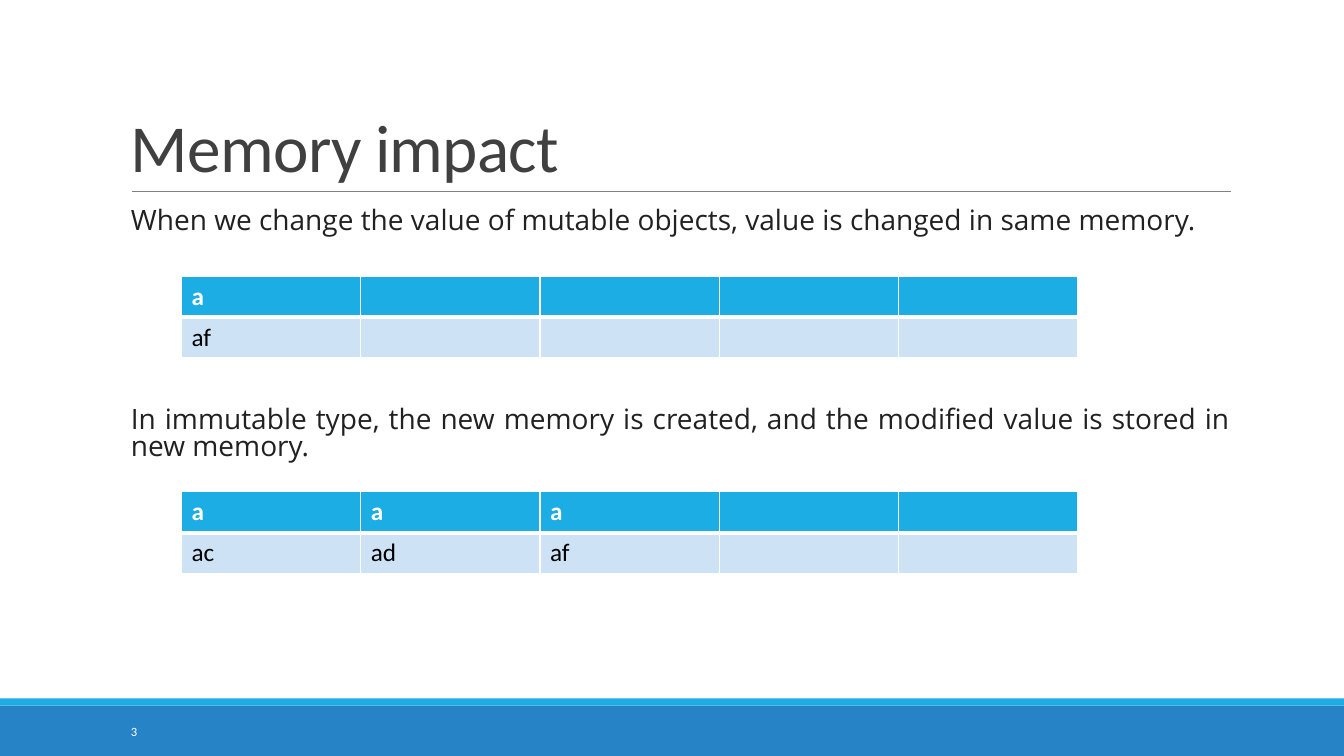
from lxml import etree
from pptx import Presentation
from pptx.dml.color import RGBColor
from pptx.enum import shapes, text
from pptx.oxml import ns
from pptx.util import Inches, Pt

WHITE = RGBColor(0xFF, 0xFF, 0xFF)
BLACK = RGBColor(0, 0, 0)
GRAY = RGBColor(0x80, 0x80, 0x80)
TITLE = RGBColor(0x40, 0x40, 0x40)
BODY = RGBColor(0x21, 0x21, 0x21)
CYAN = RGBColor(0x1C, 0xAD, 0xE4)
BLUE = RGBColor(0x26, 0x83, 0xC6)
PALE = RGBColor(0xCD, 0xE3, 0xF5)

COLUMNS = 5
MUTABLE = (["a"], ["af"])
IMMUTABLE = (["a", "a", "a"], ["ac", "ad", "af"])


def write(tf, content, size=18, color=BLACK, font="Calibri", bold=False,
          align=text.PP_ALIGN.LEFT, line_spacing=1.0, spacing=None):
    """Write one formatted paragraph into a text frame."""
    p = tf.paragraphs[0]
    p.alignment = align
    p.line_spacing = line_spacing
    r = p.add_run()
    r.text = content
    r.font.name = font
    r.font.size = Pt(size)
    r.font.bold = bold
    r.font.color.rgb = color
    if spacing is not None:
        r.font._element.set("spc", str(spacing))


def add_text(slide, content, left, top, width, height,
             anchor=text.MSO_ANCHOR.TOP, **fmt):
    """Add a wrapping text box."""
    sp = slide.shapes.add_textbox(
        Inches(left), Inches(top), Inches(width), Inches(height))
    tf = sp.text_frame
    tf.word_wrap = True
    tf.vertical_anchor = anchor
    write(tf, content, **fmt)


def add_band(slide, top, height, color):
    """Add a full-width footer band."""
    sp = slide.shapes.add_shape(
        shapes.MSO_SHAPE.RECTANGLE, 0, Inches(top), Inches(13.33), Inches(height))
    sp.shadow.inherit = False
    sp.fill.solid()
    sp.fill.fore_color.rgb = color
    sp.line.fill.background()


def add_rule(slide, left, right, y):
    """Add the thin line under the title."""
    line = slide.shapes.add_connector(
        shapes.MSO_CONNECTOR.STRAIGHT,
        Inches(left), Inches(y), Inches(right), Inches(y))
    line.line.color.rgb = GRAY
    line.line.width = Pt(0.5)
    etree.SubElement(line._element.spPr, ns.qn("a:effectLst"))


def set_borders(cell, bottom):
    """Give a cell white borders, with its own bottom width in points."""
    tc_pr = cell._tc.get_or_add_tcPr()
    widths = {"lnL": 1, "lnR": 1, "lnT": 1, "lnB": bottom}
    for i, (side, width) in enumerate(widths.items()):
        ln = etree.Element(ns.qn(f"a:{side}"), w=str(Pt(width)))
        fill = etree.SubElement(ln, ns.qn("a:solidFill"))
        etree.SubElement(fill, ns.qn("a:srgbClr"), val=str(WHITE))
        tc_pr.insert(i, ln)


def add_memory_table(slide, top, rows):
    """Add a table of memory cells with a header row."""
    table = slide.shapes.add_table(
        len(rows), COLUMNS, Inches(1.8), Inches(top),
        Inches(8.89), Inches(0.81)).table
    styles = ((CYAN, WHITE, True, 3), (PALE, BLACK, False, 1))
    for i, (values, (fill, color, bold, bottom)) in enumerate(zip(rows, styles)):
        for j in range(COLUMNS):
            cell = table.cell(i, j)
            cell.fill.solid()
            cell.fill.fore_color.rgb = fill
            set_borders(cell, bottom)
            if j < len(values):
                write(cell.text_frame, values[j], color=color, bold=bold)


def main():
    """Build the slide and save it."""
    prs = Presentation()
    prs.slide_width, prs.slide_height = Inches(13.33), Inches(7.5)
    slide = prs.slides.add_slide(prs.slide_layouts[6])
    add_band(slide, 7, 0.5, BLUE)
    add_band(slide, 6.93, 0.07, CYAN)
    add_rule(slide, 1.31, 12.21, 1.9)
    add_text(slide, "3", 1.2, 7.06, 2.7, 0.4, size=9, color=WHITE,
             anchor=text.MSO_ANCHOR.MIDDLE)
    add_text(slide, "Memory impact", 1.2, 0.31, 11, 1.59, size=48, color=TITLE,
             anchor=text.MSO_ANCHOR.BOTTOM, line_spacing=0.85, spacing=-50)
    body = dict(size=20, color=BODY, font="Open Sans",
                align=text.PP_ALIGN.JUSTIFY, line_spacing=0.8)
    add_text(slide, "When we change the value of mutable objects, "
             "value is changed in same memory.", 1.2, 2.02, 11.1, 0.5, **body)
    add_text(slide, "In immutable type, the new memory is created, and the "
             "modified value is stored in new memory.", 1.2, 4, 11.1, 0.8, **body)
    add_memory_table(slide, 2.74, MUTABLE)
    add_memory_table(slide, 4.88, IMMUTABLE)


    prs.save("out.pptx")


if __name__ == "__main__":
    main()
